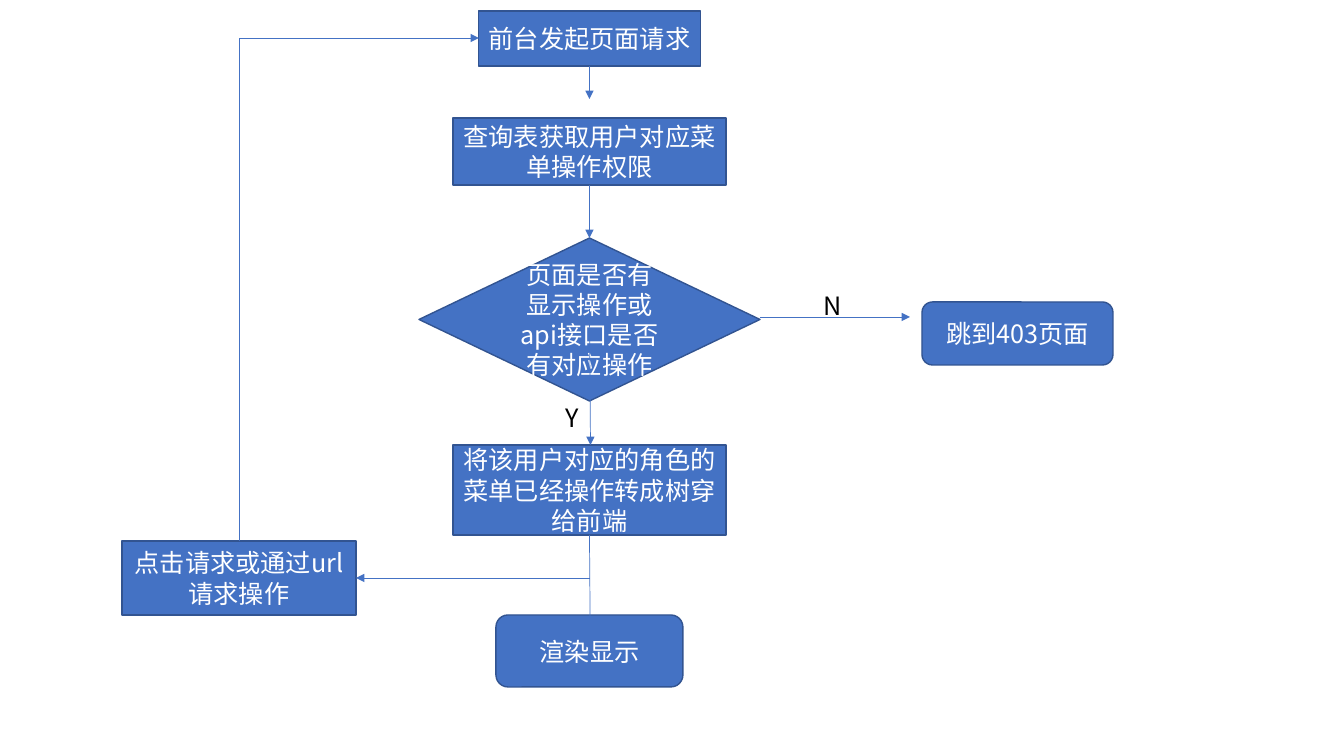
from lxml import etree
from pptx import Presentation
from pptx.dml.color import RGBColor
from pptx.enum.shapes import MSO_CONNECTOR as CONNECTOR, MSO_SHAPE as SHAPE
from pptx.enum.text import MSO_ANCHOR as ANCHOR, PP_ALIGN as ALIGN
from pptx.oxml.ns import qn
from pptx.util import Emu, Pt

SCALE = 914400 / 100.8
FONT = "Noto Sans CJK SC"
BLUE, EDGE, WHITE, BLACK = "4472C4", "325491", "FFFFFF", "000000"


def px(length):
    return Emu(round(length * SCALE))


def color(value):
    return RGBColor.from_string(value)


def write(shape, text, font_color, align):
    shape.text_frame.text = text
    paragraph = shape.text_frame.paragraphs[0]
    paragraph.alignment = align
    run = paragraph.runs[0]
    run.font.size = Pt(18)
    run.font.name = FONT
    run.font.color.rgb = color(font_color)
    east_asian = etree.SubElement(run.font._element, qn("a:ea"))
    east_asian.set("typeface", FONT)


def add_node(slide, kind, text, left, top, width, height):
    shape = slide.shapes.add_shape(kind, px(left), px(top), px(width), px(height))
    shape.shadow.inherit = False
    shape.fill.solid()
    shape.fill.fore_color.rgb = color(BLUE)
    shape.line.color.rgb = color(EDGE)
    shape.line.width = Pt(1)
    shape.text_frame.word_wrap = True
    shape.text_frame.vertical_anchor = ANCHOR.MIDDLE
    write(shape, text, WHITE, ALIGN.CENTER)


def add_label(slide, text, left, top, width, height):
    label = slide.shapes.add_textbox(px(left), px(top), px(width), px(height))
    label.text_frame.word_wrap = False
    write(label, text, BLACK, ALIGN.LEFT)


def add_arrow(slide, start, end, kind=CONNECTOR.STRAIGHT):
    points = [px(value) for value in (*start, *end)]
    arrow = slide.shapes.add_connector(kind, *points)
    arrow.line.color.rgb = color(BLUE)
    arrow.line.width = Pt(0.5)
    head = etree.SubElement(arrow.line._get_or_add_ln(), qn("a:tailEnd"))
    head.set("type", "triangle")
    etree.SubElement(arrow._element.spPr, qn("a:effectLst"))
    return arrow


def add_corner_arrow(slide, start, end):
    """Arrow that rises from start, then turns right to end."""
    middle_x, middle_y = (start[0] + end[0]) / 2, (start[1] + end[1]) / 2
    # Quarter turn: the unrotated frame has its sides swapped
    half_width = abs(end[1] - start[1]) / 2
    half_height = abs(end[0] - start[0]) / 2
    arrow = add_arrow(slide, (middle_x + half_width, middle_y + half_height),
                      (middle_x - half_width, middle_y - half_height), CONNECTOR.ELBOW)
    properties = arrow._element.spPr
    properties.find(qn("a:xfrm")).set("rot", "5400000")
    properties.find(qn("a:prstGeom")).set("prst", "bentConnector2")


def main_flow(slide, left, top, width):
    center = left + width / 2
    # Steps: kind, text, offset from the top, width, height
    steps = [
        (SHAPE.RECTANGLE, "前台发起页面请求", 0, 222, 55),
        (SHAPE.DIAMOND, "页面是否有显示操作或api接口是否有对应操作", 227, width, 163),
        (SHAPE.RECTANGLE, "查询表获取用户对应菜单操作权限", 107, 273, 67),
        (SHAPE.RECTANGLE, "将该用户对应的角色的菜单已经操作转成树穿给前端", 434, 273, 90),
        (SHAPE.ROUNDED_RECTANGLE, "渲染显示", 604, 187, 72),
    ]
    for kind, text, offset, step_width, height in steps:
        add_node(slide, kind, text, center - step_width / 2, top + offset,
                 step_width, height)
    # Downward arrows: start and end offsets, sideways drift
    for start, end, drift in [(55, 88, 0), (174, 227, 0), (298, 434, 1), (524, 660, 1)]:
        add_arrow(slide, (center, top + start), (center + drift, top + end))
    add_label(slide, "Y", center - 34, top + 386, 34, 40)


def reject_branch(slide, left, top, width, height):
    node_width = 191
    add_arrow(slide, (left, top + 32), (left + 150, top + 32))
    add_label(slide, "N", left + 54, top, 39, 40)
    add_node(slide, SHAPE.ROUNDED_RECTANGLE, "跳到403页面",
             left + width - node_width, top + height - 63, node_width, 63)


def return_loop(slide, left, top, width, height):
    node_width, node_height = 234, 74
    node_top = top + height - node_height
    add_node(slide, SHAPE.RECTANGLE, "点击请求或通过url请求操作",
             left, node_top, node_width, node_height)
    middle = node_top + node_height / 2
    add_arrow(slide, (left + width, middle), (left + node_width, middle))
    add_corner_arrow(slide, (left + node_width / 2, node_top), (left + 357, top))


presentation = Presentation()
presentation.slide_width, presentation.slide_height = px(1344), px(756)
slide = presentation.slides.add_slide(presentation.slide_layouts[6])
main_flow(slide, 419, 11, 341)
reject_branch(slide, 760, 285, 353, 80)
return_loop(slide, 122, 38, 468, 577)
presentation.save("out.pptx")
